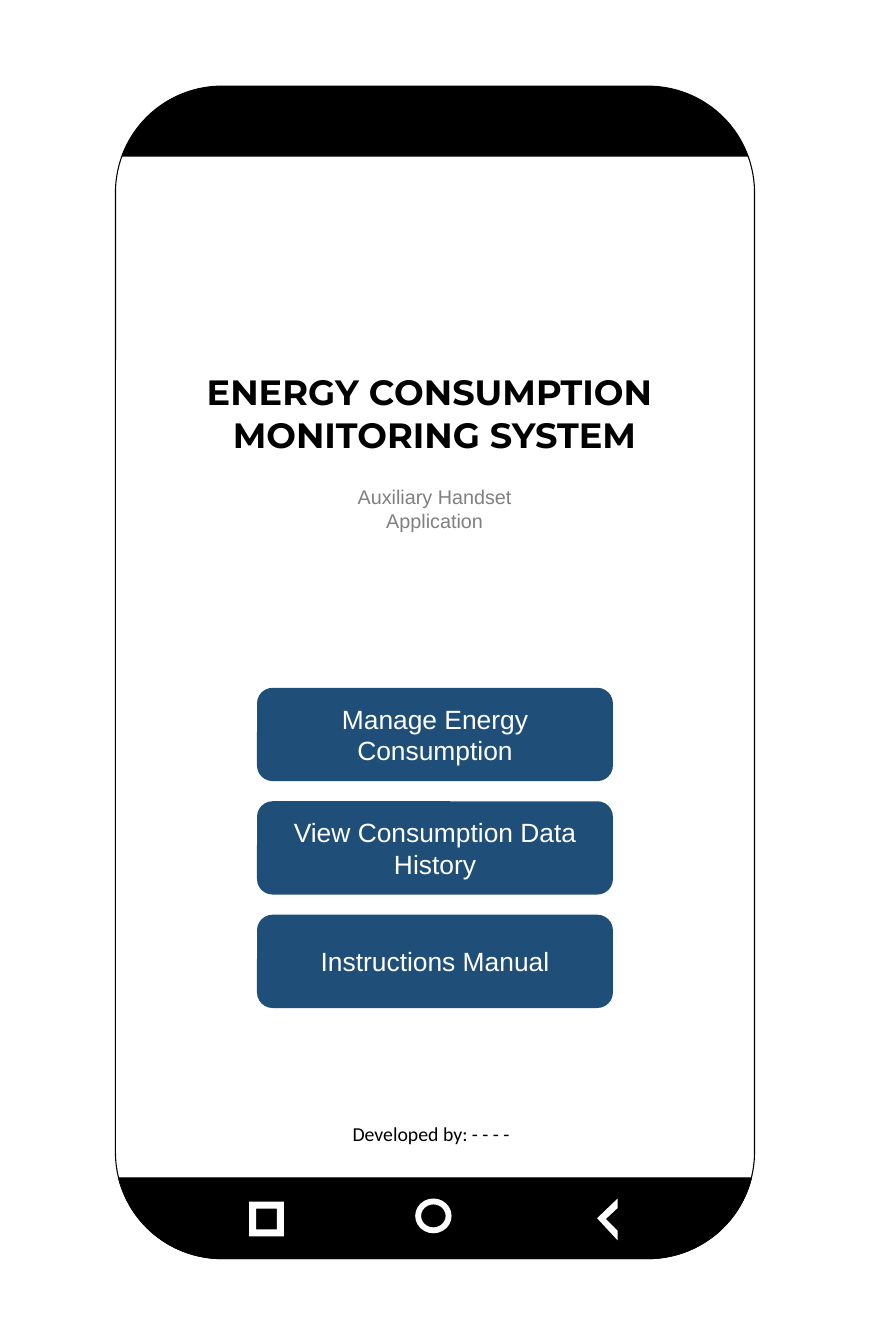
"""Builds the home screen mock-up of an energy monitoring phone app."""
from dataclasses import dataclass
from math import asin, cos, pi, sin

from pptx import Presentation
from pptx.dml.color import RGBColor
from pptx.enum.shapes import MSO_SHAPE as Preset
from pptx.enum.text import MSO_ANCHOR as Anchor, MSO_AUTO_SIZE as AutoSize, PP_ALIGN as Align
from pptx.shapes.autoshape import Shape
from pptx.slide import Slide
from pptx.text.text import TextFrame
from pptx.util import Inches, Pt

COLUMNS, ROWS = 110, 170
CELL = Inches(0.1)
COLORS = {"black": "000000", "white": "FFFFFF", "button": "1F4E79", "subtitle": "808080"}


@dataclass(frozen=True)
class Box:
    """An area measured in grid columns and rows."""
    column: float
    row: float
    width: float
    height: float

    def emu(self) -> list[int]:
        """Return left, top, width and height in slide units."""
        return [round(cells * CELL) for cells in (self.column, self.row, self.width, self.height)]


@dataclass(frozen=True)
class TextStyle:
    """The look of a text."""
    font: str
    size: int
    color: str
    bold: bool = False
    align: Align = Align.CENTER


@dataclass(frozen=True)
class Label:
    """A free-standing text."""
    text: str
    box: Box
    style: TextStyle


@dataclass(frozen=True)
class Icon:
    """A preset navigation icon with its ring thickness."""
    preset: Preset
    box: Box
    thickness: float


PHONE = Box(14.6, 10.9, 80.8, 148.3)
CORNER = PHONE.width / 6
TOP_BAND_END, BOTTOM_BAND_START = 19.8, 149
ARC_STEPS = 24

LABELS = [
    Label("ENERGY CONSUMPTION \nMONITORING SYSTEM", Box(23.1, 46.4, 63.7, 11.8),
          TextStyle("Montserrat", 32, "black", bold=True)),
    Label("Auxiliary Handset Application", Box(38.1, 60.8, 33.7, 4), TextStyle("Arial", 18, "subtitle")),
    Label("Developed by: - - - - ", Box(43.6, 141.4, 22.7, 4),
          TextStyle("Calibri", 18, "black", align=Align.LEFT)),
]
BUTTONS = ["Manage Energy Consumption", "View Consumption Data History", "Instructions Manual"]
BUTTON_STYLE = TextStyle("Arial", 24, "white")
FIRST_BUTTON = Box(32.5, 87, 45, 11.8)
BUTTON_PITCH = 14.35
ICONS = [
    Icon(Preset.FRAME, Box(31.5, 152, 4.4, 4.4), 0.2),
    Icon(Preset.DONUT, Box(52.5, 151.6, 4.6, 4.4), 0.17),
]
BACK_ARROW = [(75.5, 154.1), (78.1, 151.6), (78.1, 152.8), (76.6, 154.2), (78.1, 155.7), (78.1, 156.9)]


def rgb(name: str) -> RGBColor:
    """Look up a named colour."""
    return RGBColor.from_string(COLORS[name])


def paint(shape: Shape, fill: str | None, line: str | None = None) -> None:
    """Set fill and outline and drop the shadow."""
    shape.shadow.inherit = False
    if fill:
        shape.fill.solid()
        shape.fill.fore_color.rgb = rgb(fill)
    else:
        shape.fill.background()
    if line:
        shape.line.color.rgb = rgb(line)
        shape.line.width = Pt(1)
    else:
        shape.line.fill.background()


def write(frame: TextFrame, text: str, style: TextStyle) -> None:
    """Put styled text into a frame."""
    frame.text = text
    for paragraph in frame.paragraphs:
        paragraph.alignment = style.align
        for run in paragraph.runs:
            run.font.name = style.font
            run.font.size = Pt(style.size)
            run.font.bold = style.bold
            run.font.color.rgb = rgb(style.color)


def add_preset(slide: Slide, preset: Preset, box: Box, fill: str | None, line: str | None = None) -> Shape:
    """Draw a preset shape."""
    shape = slide.shapes.add_shape(preset, *box.emu())
    paint(shape, fill, line)
    return shape


def add_outline(slide: Slide, points: list[tuple[float, float]], fill: str, line: str | None = None) -> None:
    """Draw a closed outline through grid points."""
    start, *others = [(round(column * CELL), round(row * CELL)) for column, row in points]
    builder = slide.shapes.build_freeform(*start)
    builder.add_line_segments(others, close=True)
    paint(builder.convert_to_shape(), fill, line)


def band_points(edge: float, at_top: bool) -> list[tuple[float, float]]:
    """Trace the part of the phone beyond a straight edge."""
    direction = -1 if at_top else 1
    center_row = PHONE.row + CORNER if at_top else PHONE.row + PHONE.height - CORNER
    middle = PHONE.column + PHONE.width / 2
    reach = PHONE.width / 2 - CORNER
    first = asin(direction * (edge - center_row) / CORNER)
    angles = [first + (pi / 2 - first) * step / ARC_STEPS for step in range(ARC_STEPS + 1)]
    arc = [(reach + CORNER * cos(angle), center_row + direction * CORNER * sin(angle)) for angle in angles]
    right = [(middle + offset, row) for offset, row in arc]
    left = [(middle - offset, row) for offset, row in reversed(arc)]
    return right + left


def add_label(slide: Slide, label: Label) -> None:
    """Draw a text box that fits its text."""
    frame = slide.shapes.add_textbox(*label.box.emu()).text_frame
    frame.word_wrap = False
    frame.auto_size = AutoSize.SHAPE_TO_FIT_TEXT
    write(frame, label.text, label.style)


def add_button(slide: Slide, index: int, text: str) -> None:
    """Draw one button of the menu column."""
    first = FIRST_BUTTON
    box = Box(first.column, first.row + index * BUTTON_PITCH, first.width, first.height)
    frame = add_preset(slide, Preset.ROUNDED_RECTANGLE, box, "button").text_frame
    frame.word_wrap = True
    frame.vertical_anchor = Anchor.MIDDLE
    write(frame, text, BUTTON_STYLE)


def main() -> None:
    """Build and save the presentation."""
    presentation = Presentation()
    presentation.slide_width, presentation.slide_height = COLUMNS * CELL, ROWS * CELL
    slide = presentation.slides.add_slide(presentation.slide_layouts[6])
    add_preset(slide, Preset.ROUNDED_RECTANGLE, PHONE, None, "black")
    add_outline(slide, band_points(TOP_BAND_END, at_top=True), "black")
    add_outline(slide, band_points(BOTTOM_BAND_START, at_top=False), "black", "black")
    for icon in ICONS:
        add_preset(slide, icon.preset, icon.box, "white").adjustments[0] = icon.thickness
    add_outline(slide, BACK_ARROW, "white")
    for label in LABELS:
        add_label(slide, label)
    for index, text in enumerate(BUTTONS):
        add_button(slide, index, text)
    presentation.save("out.pptx")


main()
